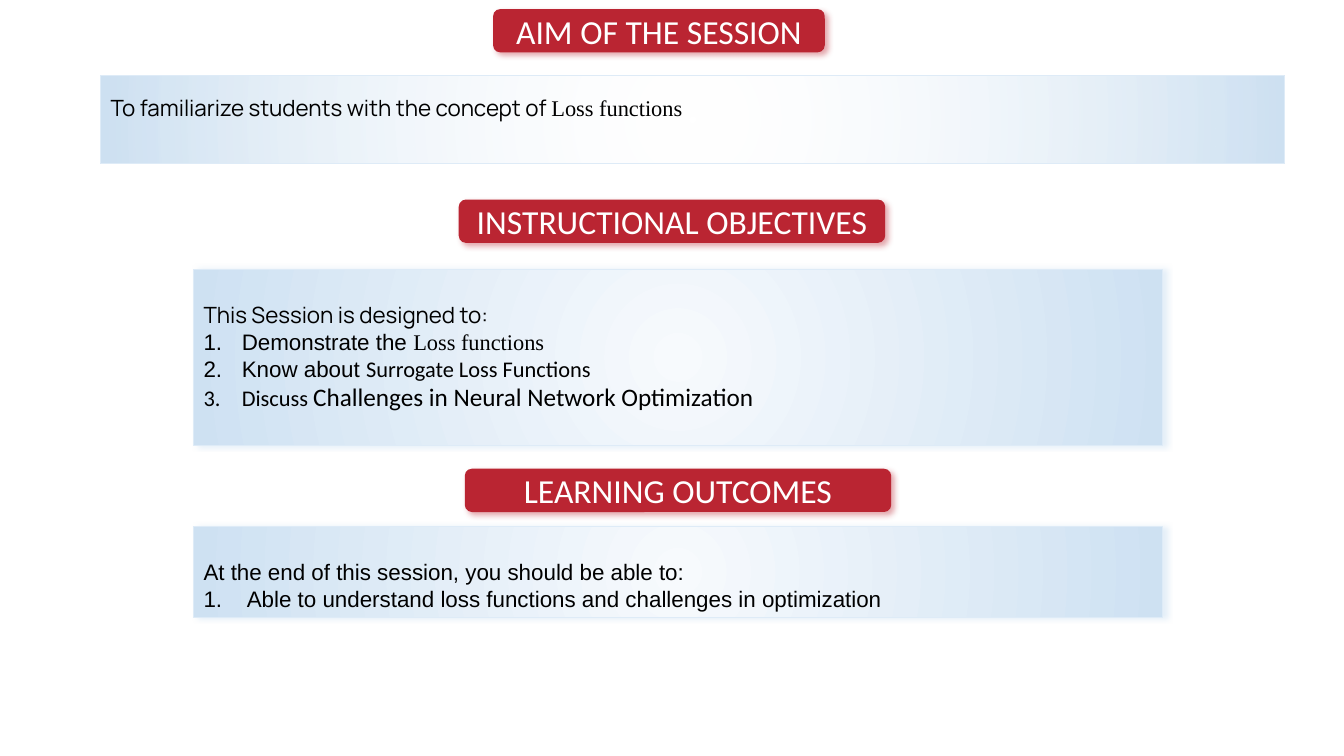
"""Builds a session slide with its aim, objectives and outcomes."""
from dataclasses import dataclass
from typing import Any, NamedTuple

from pptx import Presentation
from pptx.dml.color import RGBColor as RGB
from pptx.enum.shapes import MSO_SHAPE as Kind
from pptx.enum.text import MSO_ANCHOR as Anchor, PP_ALIGN as Align
from pptx.oxml import parse_xml
from pptx.oxml.ns import nsdecls, qn
from pptx.util import Pt

SCALE = 9144
RED = RGB(0xBA, 0x25, 0x32)
WHITE = RGB(0xFF, 0xFF, 0xFF)
BLACK = RGB(0x00, 0x00, 0x00)
PALE = RGB(0xF7, 0xFA, 0xFD)
BLUE = RGB(0xCE, 0xE1, 0xF2)
EDGE = RGB(0xDE, 0xEB, 0xF7)
SHADE = RGB(0xBD, 0xD7, 0xEE)
SANS, BODY, SERIF, HEAD = "Arial", "Calibri", "Times New Roman", "Manrope"
HANG = 38


class Run(NamedTuple):
    text: str
    font: str
    size: int = 16


@dataclass
class Item:
    runs: list[Run]
    space: float | None = None
    inset: int = 0


@dataclass
class Banner:
    left: int
    top: int
    width: int
    text: str
    height: int = 43


@dataclass
class Panel:
    left: int
    top: int
    width: int
    height: int
    items: list[Item]
    clear: bool = False


BANNERS = [
    Banner(489, 9, 329, "AIM OF THE SESSION"),
    Banner(455, 198, 423, "INSTRUCTIONAL OBJECTIVES"),
    Banner(461, 465, 423, "LEARNING OUTCOMES"),
]
PANELS = [
    Panel(100, 75, 1174, 87, [
        Item([Run("To familiarize students with the concept of ", HEAD),
              Run("Loss functions", SERIF)], 1.5),
    ], clear=True),
    Panel(192, 267, 961, 175, [
        Item([Run("This Session is designed to:", HEAD)], 2.0),
        Item([Run("Demonstrate the ", SANS), Run("Loss functions", SERIF)], inset=38),
        Item([Run("Know about ", SANS), Run("Surrogate Loss Functions", BODY)], inset=38),
        Item([Run("Discuss ", BODY),
              Run("Challenges in Neural Network Optimization", BODY, 18)], inset=38),
    ]),
    Panel(192, 522, 961, 91, [
        Item([Run("At the end of this session, you should be able to:", SANS)], 2.0),
        Item([Run("Able to understand loss functions and challenges in optimization",
                  SANS)], inset=43),
    ]),
]


def px(size: int) -> int:
    return size * SCALE


def put(thing: Any, values: dict[str, Any]) -> None:
    for name, value in values.items():
        setattr(thing, name, value)


def block(slide: Any, kind: Kind, spot: Banner | Panel) -> Any:
    shape = slide.shapes.add_shape(
        kind, px(spot.left), px(spot.top), px(spot.width), px(spot.height))
    shape.shadow.inherit = False
    shape.text_frame.word_wrap = True
    return shape


def shadow(shape: Any, color: RGB, angle: int) -> None:
    shape._element.spPr.find(qn("a:effectLst")).append(parse_xml(
        f'<a:outerShdw {nsdecls("a")} blurRad="{Pt(4)}" dist="{Pt(3)}" '
        f'dir="{angle * 60000}" algn="ctr" rotWithShape="0"><a:srgbClr val="{color}">'
        '<a:alpha val="40000"/></a:srgbClr></a:outerShdw>'))


def glow(shape: Any, clear: bool) -> None:
    alpha = '<a:alpha val="0"/>' if clear else ""
    shape._element.spPr.find(qn("a:prstGeom")).addnext(parse_xml(
        f'<a:gradFill {nsdecls("a")} rotWithShape="1"><a:gsLst>'
        f'<a:gs pos="0"><a:srgbClr val="{PALE}">{alpha}</a:srgbClr></a:gs>'
        f'<a:gs pos="100000"><a:srgbClr val="{BLUE}"/></a:gs></a:gsLst>'
        '<a:path path="circle"><a:fillToRect l="50000" t="50000" r="50000" b="50000"/>'
        '</a:path></a:gradFill>'))


def write(par: Any, run: Run, color: RGB) -> None:
    part = par.add_run()
    part.text = run.text
    put(part.font, {"name": run.font, "size": Pt(run.size)})
    part.font.color.rgb = color


def number(par: Any, inset: int) -> None:
    props = par._p.get_or_add_pPr()
    props.set("marL", str(px(inset)))
    props.set("indent", str(px(-inset if inset < HANG else -inset)))
    props.append(parse_xml(f'<a:buAutoNum {nsdecls("a")} type="arabicPeriod"/>'))


def banner(slide: Any, spec: Banner) -> None:
    shape = block(slide, Kind.ROUNDED_RECTANGLE, spec)
    shape.fill.solid()
    shape.fill.fore_color.rgb = RED
    shape.line.fill.background()
    shadow(shape, RED, 45)
    shape.text_frame.vertical_anchor = Anchor.MIDDLE
    par = shape.text_frame.paragraphs[0]
    par.alignment = Align.CENTER
    write(par, Run(spec.text, BODY, 24), WHITE)


def panel(slide: Any, spec: Panel) -> None:
    shape = block(slide, Kind.RECTANGLE, spec)
    glow(shape, spec.clear)
    shape.line.color.rgb = EDGE
    shape.line.width = Pt(0.75)
    if not spec.clear:
        shadow(shape, SHADE, 0)
    frame = shape.text_frame
    frame.vertical_anchor = Anchor.TOP
    for rank, item in enumerate(spec.items):
        par = frame.add_paragraph() if rank else frame.paragraphs[0]
        put(par, {"alignment": Align.LEFT, "line_spacing": item.space})
        if item.inset:
            number(par, item.inset)
        for run in item.runs:
            write(par, run, BLACK)


def main() -> None:
    deck = Presentation()
    put(deck, {"slide_width": px(1333), "slide_height": px(750)})
    slide = deck.slides.add_slide(deck.slide_layouts[6])
    for head, body in zip(BANNERS, PANELS):
        banner(slide, head)
        panel(slide, body)
    deck.save("out.pptx")


if __name__ == "__main__":
    main()
